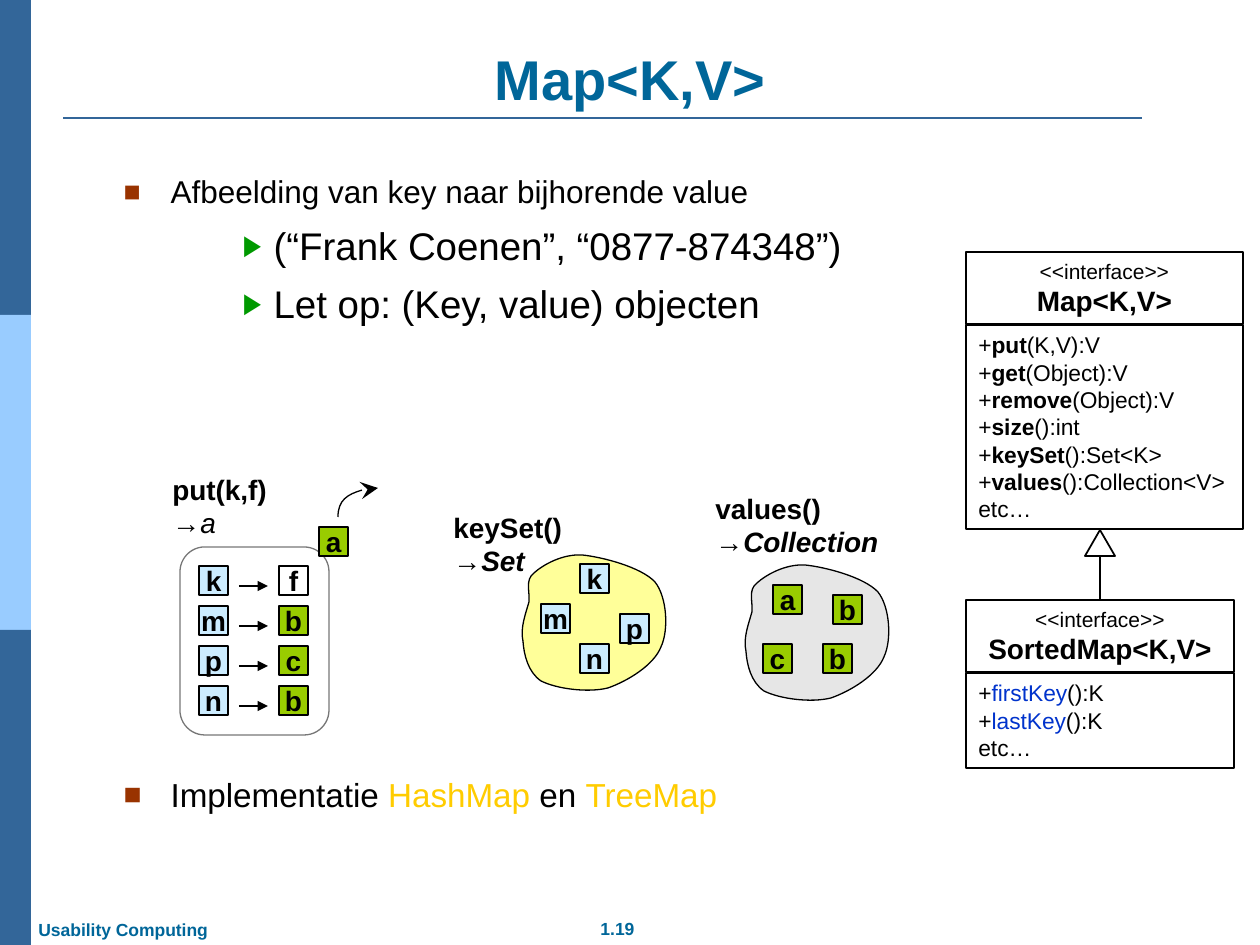
from lxml import etree
from pptx import Presentation
from pptx.dml.color import RGBColor
from pptx.enum.shapes import MSO_CONNECTOR, MSO_SHAPE
from pptx.enum.text import MSO_ANCHOR, MSO_AUTO_SIZE, PP_ALIGN
from pptx.oxml.ns import qn
from pptx.util import Pt

PX = 914400 / 126
RECT, ROUND, TRI = MSO_SHAPE.RECTANGLE, MSO_SHAPE.ROUNDED_RECTANGLE, MSO_SHAPE.ISOSCELES_TRIANGLE
LEFT, MID = PP_ALIGN.LEFT, PP_ALIGN.CENTER
TOP, CENTER, BOTTOM = MSO_ANCHOR.TOP, MSO_ANCHOR.MIDDLE, MSO_ANCHOR.BOTTOM
COLORS = dict(
    black="000000", white="FFFFFF", navy="336699", sky="99CCFF", teal="006699",
    brown="993300", green="009900", gold="FFCC00", blue="0033CC", gray="777777",
    key="CCECFF", value="99CC00", yellow="FFFF99", silver="E6E6E6")

BOLD, ITALIC = dict(bold=True), dict(italic=True)
BOTH = BOLD | ITALIC
GOLD, BLUE = dict(color="gold"), dict(color="blue")
HEAD = dict(size=32, bold=True, color="teal")
FOOT = dict(size=10, bold=True, color="teal")
LABEL = dict(size=16, bold=True)

# level, runs, size, space before, left and hanging indent, bullet (sign, color, percent)
SQUARE, ARROW = ("■", "brown", 90), ("▶", "green", 75)
BODY = [
    (0, [("Afbeelding van key naar bijhorende value", {})], 18, 0, 47, 47, SQUARE),
    (2, [("(“Frank Coenen”, “0877-874348”)", {})], 22, 9.6, 150, 31, ARROW),
    (2, [("Let op: (Key, value) objecten", {})], 22, 9.6, 150, 31, ARROW),
    (0, [("Implementatie ", {}), ("HashMap", GOLD), (" en ", {}), ("TreeMap", GOLD)],
     19, 258, 47, 47, SQUARE),
]
BARS = [(0, "navy"), (315, "sky"), (630, "navy")]
FOOTERS = [("1.19", (556, 912, 123, 34), MID), ("Usability Computing", (26, 913, 194, 34), LEFT)]

# name, rest of the member
MAP = [("put", "(K,V):V"), ("get", "(Object):V"), ("remove", "(Object):V"),
       ("size", "():int"), ("keySet", "():Set<K>"), ("values", "():Collection<V>")]
SORTED = [("firstKey", "():K"), ("lastKey", "():K")]
# title, members, member format, top, width, height of members
CLASSES = [("Map<K,V>", MAP, BOLD, 252, 277, 204),
           ("SortedMap<K,V>", SORTED, BLUE, 600, 268, 95)]

# call, result, result format, box
CAPTIONS = [("put(k,f)", "a", ITALIC, (160, 466, 129, 81)),
            ("keySet()", "Set", BOTH, (441, 504, 169, 81)),
            ("values()", "Collection", BOTH, (703, 485, 189, 81))]
PAIRS = [("k", "f"), ("m", "b"), ("p", "c"), ("n", "b")]
KEYS = [("k", 580, 564), ("m", 541, 604), ("p", 620, 614), ("n", 580, 644)]
VALUES = [("a", 773, 585), ("b", 833, 595), ("c", 763, 644), ("b", 823, 644)]
BLOBS = [((520, 554), "yellow"), ((743, 564), "silver")]
BLOB = [(14, 19), (23, 11), (42, 0), (62, 1), (82, 3), (121, 13), (135, 28),
        (147, 43), (149, 76), (141, 93), (134, 111), (108, 127), (88, 134),
        (68, 139), (37, 135), (21, 127), (8, 118), (4, 101), (3, 87),
        (0, 74), (6, 59), (9, 48), (10, 37), (5, 26), (14, 19)]
SWING = [(338, 517), (338, 500), (355, 488), (378, 488)]


def px(*nums):
    return [round(n * PX) for n in nums]


def rgb(name):
    return RGBColor.from_string(COLORS[name])


def write(par, runs, **base):
    """Add runs of (text, format) to a paragraph; a newline breaks the line."""
    for text, form in runs:
        if text == "\n":
            par.add_line_break()
            continue
        run = par.add_run()
        run.text = text
        form = dict(name="Arial", color="black", bold=False) | base | form
        run.font.color.rgb = rgb(form.pop("color"))
        for key, val in form.items():
            setattr(run.font, key, Pt(val) if key == "size" else val)


def fill_text(shape, rows, align=LEFT, anchor=TOP, wrap=True, **base):
    frame = shape.text_frame
    form = dict(word_wrap=wrap, auto_size=MSO_AUTO_SIZE.NONE, vertical_anchor=anchor)
    for key, val in form.items():
        setattr(frame, key, val)
    for i, runs in enumerate(rows):
        par = frame.add_paragraph() if i else frame.paragraphs[0]
        par.alignment = align
        write(par, runs, **base)


def paint(shape, fill=None, line=None, width=0.75):
    shape.shadow.inherit = False
    if fill:
        shape.fill.solid()
        shape.fill.fore_color.rgb = rgb(fill)
    else:
        shape.fill.background()
    if line:
        shape.line.color.rgb = rgb(line)
        shape.line.width = Pt(width)
    else:
        shape.line.fill.background()
    return shape


def draw(kind, box, *style):
    return paint(shapes.add_shape(kind, *px(*box)), *style)


def tip(shape, kind, size="med"):
    line = shape._element.spPr.find(qn("a:ln"))
    etree.SubElement(line, qn("a:tailEnd"), type=kind, w=size, len=size)


def link(x1, y1, x2, y2, color="black", width=0.75, head=None):
    line = shapes.add_connector(MSO_CONNECTOR.STRAIGHT, *px(x1, y1, x2, y2))
    line.line.color.rgb = rgb(color)
    line.line.width = Pt(width)
    if head:
        tip(line, head)
    etree.SubElement(line._element.spPr, qn("a:effectLst"))


def curve(points, at=(0, 0), close=False):
    """Turn a start point and triples of control points into a Bézier freeform."""
    spots = [px(x + at[0], y + at[1]) for x, y in points]
    pen = shapes.build_freeform(*spots[0])
    pen.add_line_segments(spots[1:], close=close)
    shape = pen.convert_to_shape()
    legs = list(shape._element.iter(qn("a:lnTo")))
    for i in range(0, len(legs), 3):
        bend = etree.Element(qn("a:cubicBezTo"))
        legs[i].addprevious(bend)
        for leg in legs[i:i + 3]:
            bend.append(leg[0])
            leg.getparent().remove(leg)
    return shape


def cell(text, x, y, fill):
    box = draw(RECT, (x, y, 29, 29), fill, "black")
    fill_text(box, [[(text, LABEL)]], MID, CENTER, wrap=False)


def place(shape, *box):
    shape.left, shape.top, shape.width, shape.height = px(*box)


def bullet(par, left, hang, sign, color, size):
    props = par._p.get_or_add_pPr()
    props.set("marL", str(px(left)[0]))
    props.set("indent", str(-px(hang)[0]))
    tint = etree.SubElement(props, qn("a:buClr"))
    etree.SubElement(tint, qn("a:srgbClr"), val=COLORS[color])
    etree.SubElement(props, qn("a:buSzPct"), val=str(size * 1000))
    etree.SubElement(props, qn("a:buFont"), typeface="Arial")
    etree.SubElement(props, qn("a:buChar"), char=sign)


deck = Presentation()
deck.slide_width, deck.slide_height = px(1260, 945)
slide = deck.slides.add_slide(deck.slide_layouts[1])
shapes = slide.shapes
title, body = shapes.title, slide.placeholders[1]

for y, color in BARS:
    draw(RECT, (0, y, 31, 315), color)
link(63, 118, 1142, 118, "navy", 1.5)
for text, box, align in FOOTERS:
    fill_text(shapes.add_textbox(*px(*box)), [[(text, FOOT)]], align, wrap=False)

place(title, 63, 38, 1134, 80)
fill_text(title, [[("Map<K,V>", HEAD)]], MID, BOTTOM)
place(body, 111, 170, 882, 704)
fill_text(body, [[] for _ in BODY])
for par, (level, runs, size, gap, left, hang, mark) in zip(body.text_frame.paragraphs, BODY):
    par.level, par.line_spacing, par.space_before = level, 0.9, Pt(gap)
    bullet(par, left, hang, *mark)
    write(par, runs, size=size)

draw(ROUND, (180, 547, 149, 188), None, "gray")
for at, color in BLOBS:
    paint(curve(BLOB, at, close=True), color, "black")
for call, result, form, box in CAPTIONS:
    runs = [(call, BOLD), ("\n", {}), ("→", {}), (result, form)]
    fill_text(shapes.add_textbox(*px(*box)), [runs], size=16)

cell("a", 319, 527, "value")
for i, (key, val) in enumerate(PAIRS):
    y = 566 + 40 * i
    cell(key, 199, y, "key")
    cell(val, 279, y, "value" if i else "white")
    link(239, y + 20, 268, y + 20, head="triangle")
for spots, color in ((KEYS, "key"), (VALUES, "value")):
    for spot in spots:
        cell(*spot, color)
swing = paint(curve(SWING), None, "black")
tip(swing, "stealth", "lg")

for name, members, form, top, width, height in CLASSES:
    rows = [[("+", {}), (member, form), (rest, {})] for member, rest in members]
    box = draw(RECT, (966, top + 73, width, height), None, "black")
    fill_text(box, rows + [[("etc…", {})]], size=13)
    box = draw(RECT, (966, top, width, 72), None, "black")
    fill_text(box, [[("<<interface>>", dict(size=12))], [(name, LABEL)]], MID)
draw(TRI, (1085, 530, 30, 26), "white", "black", 1)
link(1100, 600, 1100, 556, width=1)

deck.save("out.pptx")
